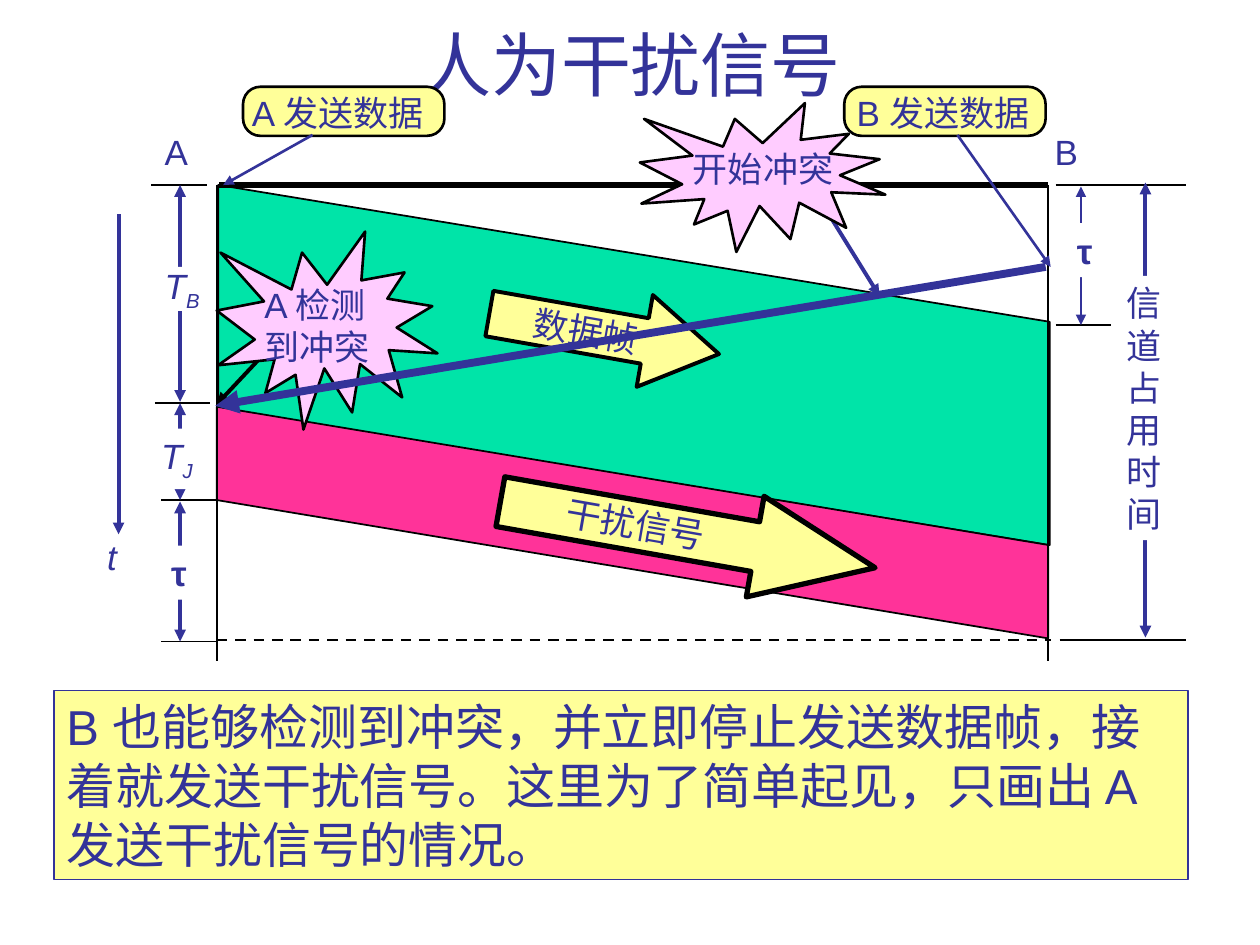
from pptx import Presentation
from pptx import util as u
from pptx.dml.color import RGBColor
from pptx.enum import dml, shapes, text
from pptx.oxml.ns import qn
from lxml import etree

INK, BLACK, WHITE = "333399", "000000", "FFFFFF"
YELLOW, PINK, GREEN, MAGENTA = "FFFF99", "FFCCFF", "00E4A8", "FF3399"
SHAPE = shapes.MSO_SHAPE


def rgb(value):
    return RGBColor.from_string(value)


def put_text(sp, content, size=20, bold=None, italic=None, sub=None, wrap=False,
             align=text.PP_ALIGN.LEFT, anchor=text.MSO_ANCHOR.TOP):
    """Write one paragraph per line of content; sub is an optional subscript."""
    tf = sp.text_frame
    tf.word_wrap = wrap
    tf.vertical_anchor = anchor
    for i, line in enumerate(content.split("\n")):
        p = tf.add_paragraph() if i else tf.paragraphs[0]
        p.alignment = align
        for part in filter(None, (line, sub)):
            r = p.add_run()
            r.text = part
            r.font.name, r.font.size = "Arial", u.Pt(size)
            r.font.bold, r.font.italic = bold, italic
            r.font.color.rgb = rgb(INK)
            if part == sub:
                r.font._element.set("baseline", "-25000")


def label(s, box, content, fill=None, rot=0, **fmt):
    sp = s.shapes.add_textbox(*map(u.Cm, box))
    sp.rotation = rot
    if fill:
        sp.fill.solid()
        sp.fill.fore_color.rgb = rgb(fill)
    put_text(sp, content, **fmt)
    return sp


def shape(s, kind, box, fill, line=None, width=1, rot=0, adj=()):
    sp = s.shapes.add_shape(kind, *map(u.Cm, box))
    sp.shadow.inherit = False
    sp.rotation = rot
    sp.fill.solid()
    sp.fill.fore_color.rgb = rgb(fill)
    if line:
        sp.line.color.rgb = rgb(line)
        sp.line.width = u.Pt(width)
    else:
        sp.line.fill.background()
    for i, value in enumerate(adj):
        sp.adjustments[i] = value
    return sp


def line(s, x1, y1, x2, y2, color=BLACK, width=1, ends=(), dash=False):
    """Draw a line; ends names the arrowheads: headEnd (start), tailEnd (end)."""
    c = s.shapes.add_connector(shapes.MSO_CONNECTOR.STRAIGHT,
                               *map(u.Cm, (x1, y1, x2, y2)))
    c.line.color.rgb = rgb(color)
    c.line.width = u.Pt(width)
    if dash:
        c.line.dash_style = dml.MSO_LINE.DASH
    for end in ends:
        etree.SubElement(c.line._get_or_add_ln(), qn("a:" + end), type="triangle")
    etree.SubElement(c._element.spPr, qn("a:effectLst"))


def arrow(s, *points, color=INK, width=2.25):
    line(s, *points, color, width, ["tailEnd"])


def span(s, x, top, bottom, width=2.25):
    line(s, x, top, x, bottom, INK, width, ["headEnd", "tailEnd"])


def band(s, x, y, w, h, fill, slant):
    """Parallelogram with upright sides, its right side lower than its left."""
    frame = (x + (w - h) / 2, y + (h - w) / 2, h, w)
    shape(s, SHAPE.PARALLELOGRAM, frame, fill, BLACK, rot=90, adj=[slant])


def frames(s, x, y, w, h):
    """Data frame and jamming signal travelling from A to B."""
    band(s, x + 0.03, y, w, 7.26, GREEN, 0.38)
    sp = shape(s, SHAPE.RIGHT_ARROW, (x + 5.46, y + 2.06, 4.7, 1.88), YELLOW,
               BLACK, 2.25, 10, [0.494, 0.808])
    put_text(sp, "数据帧", align=text.PP_ALIGN.CENTER, anchor=text.MSO_ANCHOR.MIDDLE)
    band(s, x, y + 4.47, w, 4.67, MAGENTA, 0.597)
    shape(s, SHAPE.RIGHT_ARROW, (x + 5.66, y + 6.02, 7.67, 2.06), YELLOW,
          BLACK, 3, 10, [0.494, 1.191])
    label(s, (x + 6.78, y + 6.28, 3.33, 1.12), "干扰信号", rot=9.9)


def stations(s, x, y, w, h):
    line(s, x + 0.05, y, x + w, y, width=3)
    line(s, x, y + h, x + w + 0.05, y + h, width=1.5, dash=True)
    for name, left, offset in (("A", x, -1.3), ("B", x + w, -0.12)):
        line(s, left, y, left, y + h + 0.42)
        label(s, (left + offset, y - 1.22, 0.97, 1.09), name)


def left_scale(s, x, y):
    for left, level in ((-1.32, 0), (-1.25, 4.4), (-1.12, 6.35), (-1.12, 9.2)):
        line(s, x + left, y + level, x + left + 1.12, y + level)
    for top, bottom in ((0, 4.37), (4.4, 6.35), (6.38, 9.2)):
        span(s, x - 0.74, y + top, y + bottom)
    shape(s, SHAPE.RECTANGLE, (x - 1.14, y + 1.65, 0.94, 0.89), WHITE)
    label(s, (x - 1.3, y + 1.48, 1.22, 1.22), "T", sub="B", italic=True)
    label(s, (x - 1.37, y + 4.91, 1.14, 1.22), "T", WHITE, sub="J", italic=True)
    label(s, (x - 1.17, y + 7.27, 0.81, 1.09), "τ", WHITE, bold=True)
    arrow(s, x - 1.98, y + 0.59, x - 1.98, y + 7.04)
    label(s, (x - 2.46, y + 6.94, 0.69, 1.12), "t", italic=True)


def right_scale(s, x, y, h):
    for left, right, level in ((0.15, 2.77, 0), (0.15, 1.27, 2.82), (0.23, 2.77, h)):
        line(s, x + left, y + level, x + right, y + level)
    span(s, x + 0.66, y + 0.03, y + 2.82, 1.5)
    label(s, (x + 0.33, y + 0.77, 0.81, 1.09), "τ", WHITE, bold=True)
    span(s, x + 1.96, y - 0.05, y + h - 0.05)
    label(s, (x + 1.32, y + 1.83, 1.22, 5.33), "\n".join("信道占用时间"), WHITE)


def badge(s, x, y, content, text_dx, pointer):
    shape(s, SHAPE.ROUNDED_RECTANGLE, (x, y, 4.06, 0.99), YELLOW, BLACK, 1.5,
          adj=[0.354])
    label(s, (x + text_dx, y - 0.02, 4.17, 1.12), content)
    arrow(s, *pointer, width=1.5)


def burst(s, box, text_box, content, pointer, color):
    x, y = box[:2]
    dx, dy, w, h = text_box
    arrow(s, *pointer, color=color)
    shape(s, SHAPE.EXPLOSION1, box, PINK, BLACK, 1.5)
    label(s, (x + dx, y + dy, w, h), content)


def note(s, box):
    sp = label(s, box, "B 也能够检测到冲突，并立即停止发送数据帧，接着就发送干扰信号。"
               "这里为了简单起见，只画出 A 发送干扰信号的情况。", YELLOW, size=28, wrap=True)
    sp.line.color.rgb = rgb(INK)
    sp.line.width = u.Pt(0.75)


def main():
    prs = Presentation()
    prs.slide_width, prs.slide_height = u.Cm(25.4), u.Cm(19.05)
    s = prs.slides.add_slide(prs.slide_layouts[6])
    x, y, w, h = 4.37, 3.73, 16.76, 9.17

    frames(s, x, y, w, h)
    label(s, (1.9, 0.33, 21.64, 1.93), "人为干扰信号", size=40, wrap=True,
          align=text.PP_ALIGN.CENTER, anchor=text.MSO_ANCHOR.BOTTOM)
    stations(s, x, y, w, h)
    left_scale(s, x, y)
    badge(s, 17.02, 1.75, "B 发送数据", 0, (19.3, 2.72, 21.18, 5.38))
    burst(s, (x, 4.67, 4.45, 3.99), (0.71, 0.92, 2.74, 1.96), "A 检测\n到冲突",
          (5.87, 6.55, x, 8.15), BLACK)
    burst(s, (12.9, 2.08, 4.95, 3), (0.82, 0.76, 3.33, 1.12), "开始冲突",
          (16.69, 4.29, 17.73, 5.97), INK)
    right_scale(s, x + w, y, h)
    badge(s, 4.9, 1.75, "A 发送数据", -0.07, (6.3, 2.72, 4.5, y))
    arrow(s, 21.08, 5.38, 4.34, 8.18, width=4.5)
    note(s, (1.09, 13.92, 22.86, 3.81))
    prs.save("out.pptx")


if __name__ == "__main__":
    main()
